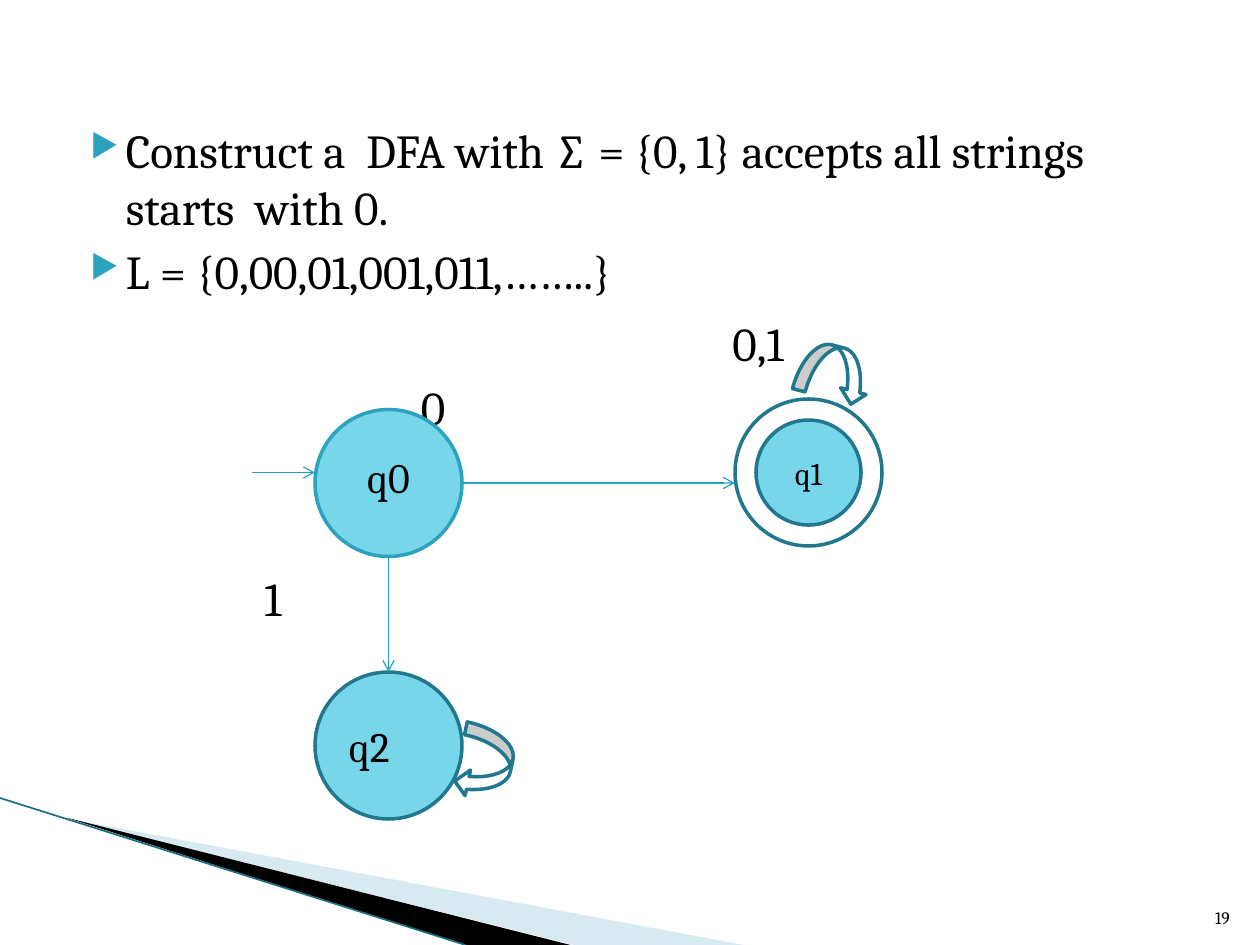
from dataclasses import dataclass

from lxml.etree import SubElement
from pptx import Presentation
from pptx.dml.color import RGBColor
from pptx.enum.shapes import MSO_CONNECTOR, MSO_SHAPE
from pptx.enum.text import MSO_ANCHOR, PP_ALIGN
from pptx.oxml.ns import qn
from pptx.util import Pt


@dataclass(frozen=True)
class Theme:
    """Colours, font and type sizes of the slide."""
    font: str = "Cambria"
    ink: str = "000000"
    paper: str = "FFFFFF"
    state: str = "78D6EA"
    accent: str = "2DA2BF"
    outline: str = "21778D"
    edge: str = "28A0BE"
    wedge: str = "9FCBDC"
    stripe: str = "196F85"
    body: float = 27
    name: float = 24
    small: float = 18
    footer: float = 10


T = Theme()


def rgb(c):
    """Turn a hex string into a colour."""
    return RGBColor.from_string(c)


def apply(obj, fmt):
    """Set attributes of an object from a dict."""
    for key, value in fmt.items():
        setattr(obj, key, value)


def add_tag(parent, tag, **attrs):
    """Append a DrawingML child element."""
    return SubElement(parent, qn(tag), attrs)


def write(p, text, size, **fmt):
    """Write a run into a paragraph."""
    apply(p, fmt)
    r = p.add_run()
    r.text = text
    apply(r.font, {"name": T.font, "size": Pt(size)})
    r.font.color.rgb = rgb(T.ink)


def add_box(s, x, y, w, h, **fmt):
    """Add a wrapping text box and return its frame."""
    tf = s.shapes.add_textbox(Pt(x), Pt(y), Pt(w), Pt(h)).text_frame
    apply(tf, {"word_wrap": True, **fmt})
    return tf


def add_bullets(s, lines):
    """Add the bulleted statement of the problem."""
    tf = add_box(s, 36, 66, 648, 120)
    for i, text in enumerate(lines):
        p = tf.add_paragraph() if i else tf.paragraphs[0]
        write(p, text, T.body, space_before=Pt(4))
        pPr = p._p.get_or_add_pPr()
        pPr.set("marL", str(Pt(28.8)))
        pPr.set("indent", str(Pt(-20.2)))
        add_tag(add_tag(pPr, "a:buClr"), "a:srgbClr", val=T.accent)
        add_tag(pPr, "a:buSzPct", val="68000")
        add_tag(pPr, "a:buChar", char="▶")


def add_label(s, text, x, y):
    """Add the input symbols of a transition."""
    margins = dict.fromkeys(
        ("margin_left", "margin_right", "margin_top", "margin_bottom"), 0)
    write(add_box(s, x, y, 48, 33, **margins).paragraphs[0], text, T.body)


def add_preset(s, kind, x, y, w, h, fill, line=T.outline):
    """Add a filled and outlined preset shape."""
    sp = s.shapes.add_shape(kind, Pt(x), Pt(y), Pt(w), Pt(h))
    sp.shadow.inherit = False
    sp.fill.solid()
    sp.fill.fore_color.rgb = rgb(fill)
    sp.line.color.rgb = rgb(line)
    sp.line.width = Pt(2)
    return sp


def add_state(s, x, y, d, text="", size=T.name, fill=T.state, line=T.outline,
              align=PP_ALIGN.CENTER, lift=0):
    """Add a round state with its name."""
    sp = add_preset(s, MSO_SHAPE.OVAL, x, y, d, d, fill, line)
    if text:
        tf = sp.text_frame
        apply(tf, {"vertical_anchor": MSO_ANCHOR.MIDDLE,
                   "margin_bottom": Pt(3.6 + lift)})
        write(tf.paragraphs[0], text, size, alignment=align)


def add_loop(s, x, y, angle):
    """Add a curved arrow from a state to itself."""
    sp = add_preset(s, MSO_SHAPE.CURVED_DOWN_ARROW, x, y, 42, 30, T.paper)
    sp.rotation = angle


def add_line(s, x1, y1, x2, y2, color=T.edge, width=0.75, arrow=True):
    """Add a straight line, with an arrowhead if wanted."""
    sp = s.shapes.add_connector(
        MSO_CONNECTOR.STRAIGHT, Pt(x1), Pt(y1), Pt(x2), Pt(y2))
    sp.line.color.rgb = rgb(color)
    sp.line.width = Pt(width)
    if arrow:
        add_tag(sp.line._get_or_add_ln(), "a:tailEnd", type="arrow")
    add_tag(sp._element.spPr, "a:effectLst")


def add_wedge(s, points, fill, alpha=100):
    """Add a borderless polygon of the corner decoration."""
    pts = [(Pt(x), Pt(y)) for x, y in points]
    fb = s.shapes.build_freeform(*pts[0])
    fb.add_line_segments(pts[1:])
    sp = fb.convert_to_shape()
    sp.shadow.inherit = False
    sp.fill.solid()
    sp.fill.fore_color.rgb = rgb(fill)
    sp.line.fill.background()
    if alpha < 100:
        clr = sp._element.spPr.find(qn("a:solidFill")).find(qn("a:srgbClr"))
        add_tag(clr, "a:alpha", val=str(alpha * 1000))


def add_corner(s):
    """Add the decoration of the bottom left corner."""
    add_wedge(s, [(39.6, 468), (425, 540), (328, 540)], T.wedge, 40)
    add_wedge(s, [(38.2, 467.3), (326, 540), (266, 540)], T.ink)
    add_line(s, 0, 456, 266, 540, T.stripe, 0.96, arrow=False)


def main():
    """Build and save the slide."""
    prs = Presentation()
    apply(prs, {"slide_width": Pt(720), "slide_height": Pt(540)})
    s = prs.slides.add_slide(prs.slide_layouts[6])
    add_corner(s)
    add_bullets(s, [
        "Construct a  DFA with ∑ = {0, 1} accepts all strings starts  with 0.",
        "L = {0,00,01,001,011,……..}",
    ])
    for label in (("0,1", 418.5, 179.5), ("0", 240.5, 216), ("1", 151, 325.5)):
        add_label(s, *label)
    number = add_box(s, 681, 505, 28.8, 28.8, vertical_anchor=MSO_ANCHOR.BOTTOM)
    apply(number, {"margin_left": 0})
    write(number.paragraphs[0], "19", T.footer, alignment=PP_ALIGN.RIGHT)

    add_state(s, 180, 234, 84, "q0", line=T.accent, lift=7)
    add_state(s, 420, 228, 84, fill=T.paper)
    add_state(s, 432, 240, 60, "q1", T.small)
    add_state(s, 180, 384, 84, "q2", align=PP_ALIGN.LEFT)
    for ends in ((144, 270, 180, 270), (264, 276, 420, 276), (222, 318, 222, 384)):
        add_line(s, *ends)
    add_loop(s, 456, 198, 14.9)
    add_loop(s, 256.3, 421.2, 101.9)
    prs.save("out.pptx")


if __name__ == "__main__":
    main()
